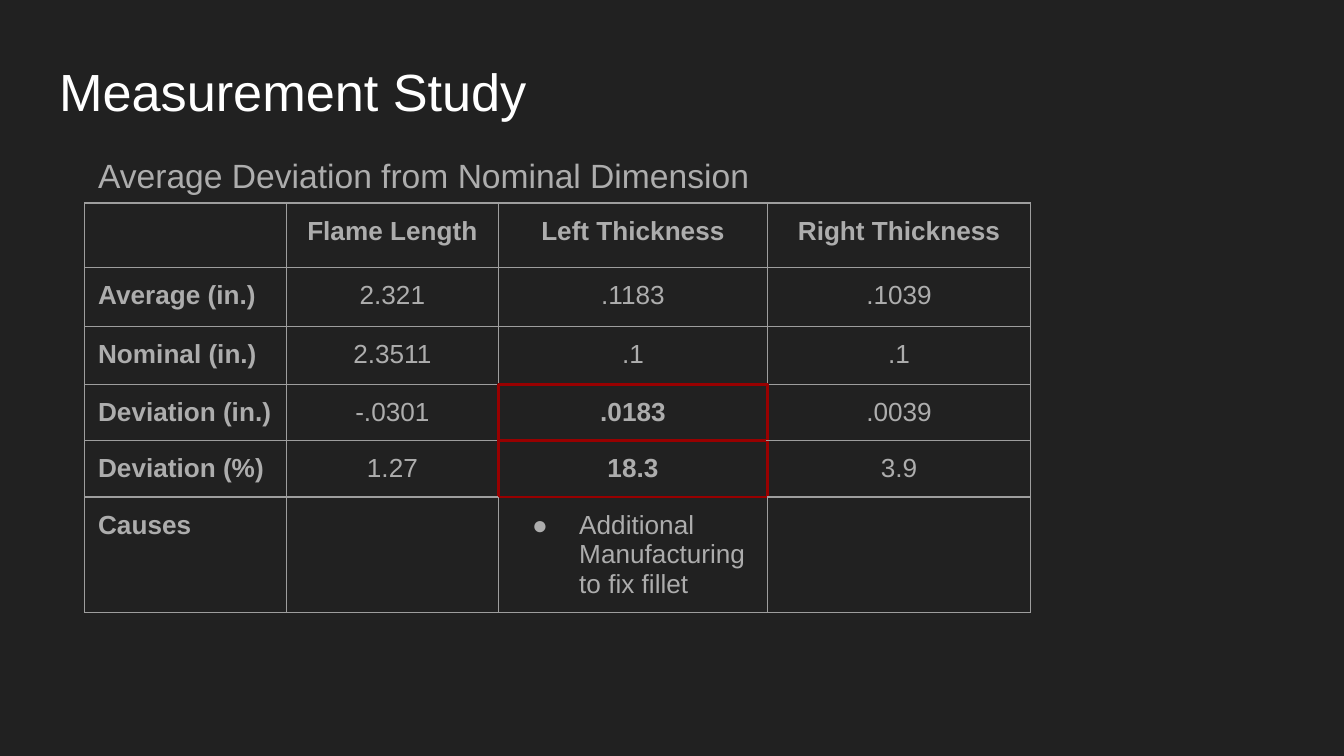
from lxml import etree
from pptx import Presentation
from pptx.dml.color import RGBColor
from pptx.enum.text import MSO_ANCHOR, PP_ALIGN
from pptx.oxml.ns import qn
from pptx.util import Inches, Pt

TOP, LEFT, CENTER = MSO_ANCHOR.TOP, PP_ALIGN.LEFT, PP_ALIGN.CENTER
GRAY, LINE, RED = "ADADAD", "9E9E9E", "980000"


def color(code):
    return RGBColor.from_string(code)


def style(par, size, code, bold=False):
    par.font.name = "Arial"
    par.font.size = Pt(size)
    par.font.bold = bold
    par.font.color.rgb = color(code)


# Widescreen slide, 16 to 9
prs = Presentation()
prs.slide_width = Inches(10)
prs.slide_height = Inches(10) * 9 // 16
slide = prs.slides.add_slide(prs.slide_layouts[1])
slide.background.fill.solid()
slide.background.fill.fore_color.rgb = color("212121")

# Title and subtitle
title, body = slide.placeholders
heads = [
    (title, "Measurement Study", (0.34, 0.34, 9.32, 0.63), 28, "FFFFFF", 1),
    (body, "Average Deviation from Nominal Dimension",
     (0.63, 1.01, 5.72, 0.46), 18, GRAY, 1.15),
]
for shape, text, box, size, code, space in heads:
    shape.left, shape.top, shape.width, shape.height = map(Inches, box)
    frame = shape.text_frame
    frame.text = text
    frame.vertical_anchor = TOP
    frame.margin_left = frame.margin_right = Inches(0.1)
    frame.margin_top = frame.margin_bottom = Inches(0.1)
    par = frame.paragraphs[0]
    par.alignment = LEFT
    par.line_spacing = space
    par.space_before = Pt(0)
    props = par._p.get_or_add_pPr()
    props.set("marL", "0")
    props.set("indent", "0")
    etree.SubElement(props, qn("a:buNone"))
    style(par, size, code)

# Table of deviations
rows = [
    ["", "Flame Length", "Left Thickness", "Right Thickness"],
    ["Average (in.)", "2.321", ".1183", ".1039"],
    ["Nominal (in.)", "2.3511", ".1", ".1"],
    ["Deviation (in.)", "-.0301", ".0183", ".0039"],
    ["Deviation (%)", "1.27", "18.3", "3.9"],
    ["Causes", "", "Additional Manufacturing to fix fillet", ""],
]
widths = [1.5, 1.58, 2, 1.96]
heights = [0.48, 0.44, 0.43, 0.42, 0.42, 0.85]
hot = {(3, 2), (4, 2)}
cause = (5, 2)
sides = {"a:lnL": (0, -1), "a:lnR": (0, 1), "a:lnT": (-1, 0), "a:lnB": (1, 0)}

table = slide.shapes.add_table(
    len(rows), len(widths), Inches(0.63), Inches(1.51),
    Inches(sum(widths)), Inches(sum(heights))).table
table.first_row = table.horz_banding = False
for col, width in zip(table.columns, widths):
    col.width = Inches(width)
for row, height in zip(table.rows, heights):
    row.height = Inches(height)

for r, row in enumerate(rows):
    for c, text in enumerate(row):
        spot = (r, c)
        cell = table.cell(r, c)
        cell.text = text
        cell.margin_left = cell.margin_right = Inches(0.1)
        cell.margin_top = cell.margin_bottom = Inches(0.1)
        par = cell.text_frame.paragraphs[0]
        par.alignment = LEFT if c == 0 or spot == cause else CENTER

        # Bullet of the cause
        if spot == cause:
            props = par._p.get_or_add_pPr()
            props.set("marL", str(Inches(0.5)))
            props.set("indent", str(Inches(-0.35)))
            tint = etree.SubElement(props, qn("a:buClr"))
            etree.SubElement(tint, qn("a:srgbClr"), val=GRAY)
            etree.SubElement(props, qn("a:buSzPts"), val="1400")
            etree.SubElement(props, qn("a:buFont"), typeface="Arial")
            etree.SubElement(props, qn("a:buChar"), char="●")
        style(par, 14, GRAY, r == 0 or c == 0 or spot in hot)

        # Borders, red around the hot cells
        props = cell._tc.get_or_add_tcPr()
        for tag, (down, right) in sides.items():
            mark = spot in hot or (r + down, c + right) in hot
            line = etree.SubElement(props, qn(tag), w=str(Pt(1.5 if mark else 0.75)))
            fill = etree.SubElement(line, qn("a:solidFill"))
            etree.SubElement(fill, qn("a:srgbClr"), val=RED if mark else LINE)
        cell.fill.background()

prs.save("out.pptx")
